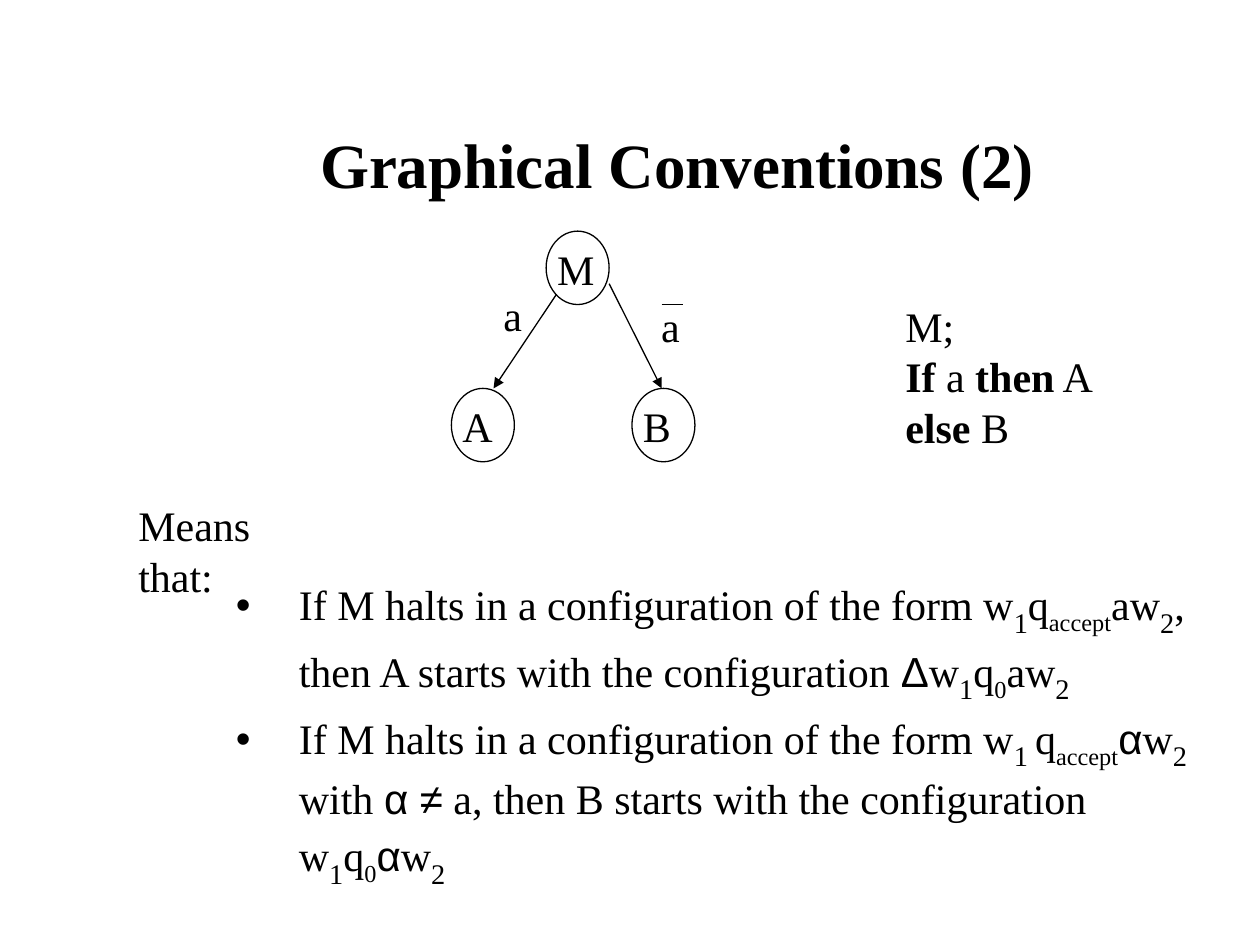
"""Build the slide on graphical conventions for branching machines."""
from dataclasses import dataclass

from lxml import etree
from pptx import Presentation
from pptx import util as u
from pptx.dml.color import RGBColor
from pptx.enum import shapes, text
from pptx.oxml import ns


@dataclass(frozen=True)
class Theme:
    ink: RGBColor = RGBColor(0, 0, 0)
    serif: str = "Times New Roman"
    sans: str = "Arial"
    title: int = 36
    body: int = 24
    index: int = 28
    line: float = 0.75


theme = Theme()


def write(para, spans, size=theme.body):
    for words, style in spans:
        span = para.add_run()
        span.text = words
        span.font.name = theme.sans if style == "symbol" else theme.serif
        span.font.size = u.Pt(theme.index if style == "index" else size)
        span.font.bold = style == "bold"
        span.font.color.rgb = theme.ink
        if style in ("index", "state"):
            span._r.get_or_add_rPr().set("baseline", "-25000")


def add_label(page, left, top, width, height, lines):
    box = page.shapes.add_textbox(u.Cm(left), u.Cm(top), u.Cm(width), u.Cm(height))
    frame = box.text_frame
    frame.word_wrap = False
    frame.auto_size = text.MSO_AUTO_SIZE.SHAPE_TO_FIT_TEXT
    for number, spans in enumerate(lines):
        write(frame.add_paragraph() if number else frame.paragraphs[0], spans)


deck = Presentation()
deck.slide_width, deck.slide_height = u.Cm(25.4), u.Cm(19.05)
page = deck.slides.add_slide(deck.slide_layouts[1])

title = page.shapes.title
title.left, title.top, title.width, title.height = u.Cm(1.9), u.Cm(1.7), u.Cm(23.5), u.Cm(3.18)
title.text_frame.vertical_anchor = text.MSO_ANCHOR.MIDDLE
title.text_frame.paragraphs[0].alignment = text.PP_ALIGN.CENTER
write(title.text_frame.paragraphs[0], [("Graphical Conventions (2)", "bold")], theme.title)

rules = [
    [("If M halts in a configuration of the form w", ""), ("1", "index"), ("q", ""),
     ("accept", "state"), ("aw", ""), ("2", "index"),
     (", then A starts with the configuration ", ""), ("Δ", "symbol"), ("w", ""),
     ("1", "index"), ("q", ""), ("0", "state"), ("aw", ""), ("2", "index")],
    [("If M halts in a configuration of the form w", ""), ("1 ", "index"), ("q", ""),
     ("accept", "state"), ("α", "symbol"), ("w", ""), ("2", "index"), (" with ", ""),
     ("α ≠", "symbol"), (" a, then B starts with the configuration w", ""),
     ("1", "index"), ("q", ""), ("0", "state"), ("α", "symbol"), ("w", ""), ("2", "index")],
]
body = page.placeholders[1]
body.left, body.top, body.width, body.height = u.Cm(4.5), u.Cm(11.4), u.Cm(20.27), u.Cm(6.68)
body.text_frame.auto_size = text.MSO_AUTO_SIZE.NONE
for number, spans in enumerate(rules):
    para = body.text_frame.add_paragraph() if number else body.text_frame.paragraphs[0]
    para.space_before = u.Pt(0)
    write(para, spans)
    props = para._p.get_or_add_pPr()
    props.set("marL", str(u.Cm(1.27)))
    props.set("indent", str(u.Cm(-1.27)))
    etree.SubElement(props, ns.qn("a:buChar")).set("char", "•")

for name, left, top, width in [("M", 11.01, 4.66, 1.24), ("A", 9.1, 7.83, 1.12), ("B", 12.74, 7.83, 1.07)]:
    node = page.shapes.add_shape(shapes.MSO_SHAPE.OVAL, u.Cm(left), u.Cm(top), u.Cm(1.27), u.Cm(1.48))
    node.shadow.inherit = False
    node.fill.background()
    node.line.color.rgb = theme.ink
    node.line.width = u.Pt(theme.line)
    add_label(page, left - 0.03, top + 0.12, width, 1.27, [[(name, "")]])

for x1, y1, x2, y2, arrow in [
    (11.22, 5.93, 9.95, 7.83, True),
    (12.28, 5.72, 13.34, 7.83, True),
    (13.34, 6.14, 13.76, 6.14, False),
]:
    edge = page.shapes.add_connector(
        shapes.MSO_CONNECTOR.STRAIGHT, u.Cm(x1), u.Cm(y1), u.Cm(x2), u.Cm(y2))
    edge.line.color.rgb = theme.ink
    edge.line.width = u.Pt(theme.line)
    if arrow:
        etree.SubElement(edge.line._get_or_add_ln(), ns.qn("a:tailEnd")).set("type", "triangle")
    etree.SubElement(edge._element.spPr, ns.qn("a:effectLst"))

add_label(page, 9.9, 5.72, 0.89, 1.27, [[("a", "")]])
add_label(page, 13.08, 5.93, 0.89, 1.27, [[("a", "")]])
add_label(page, 2.54, 9.95, 4.47, 1.27, [[("Means that:", "")]])
add_label(page, 18, 5.93, 4.34, 3.3, [
    [("M;", "")],
    [("If", "bold"), (" a ", ""), ("then", "bold"), (" A", "")],
    [("else", "bold"), (" B", "")],
])

deck.save("out.pptx")
